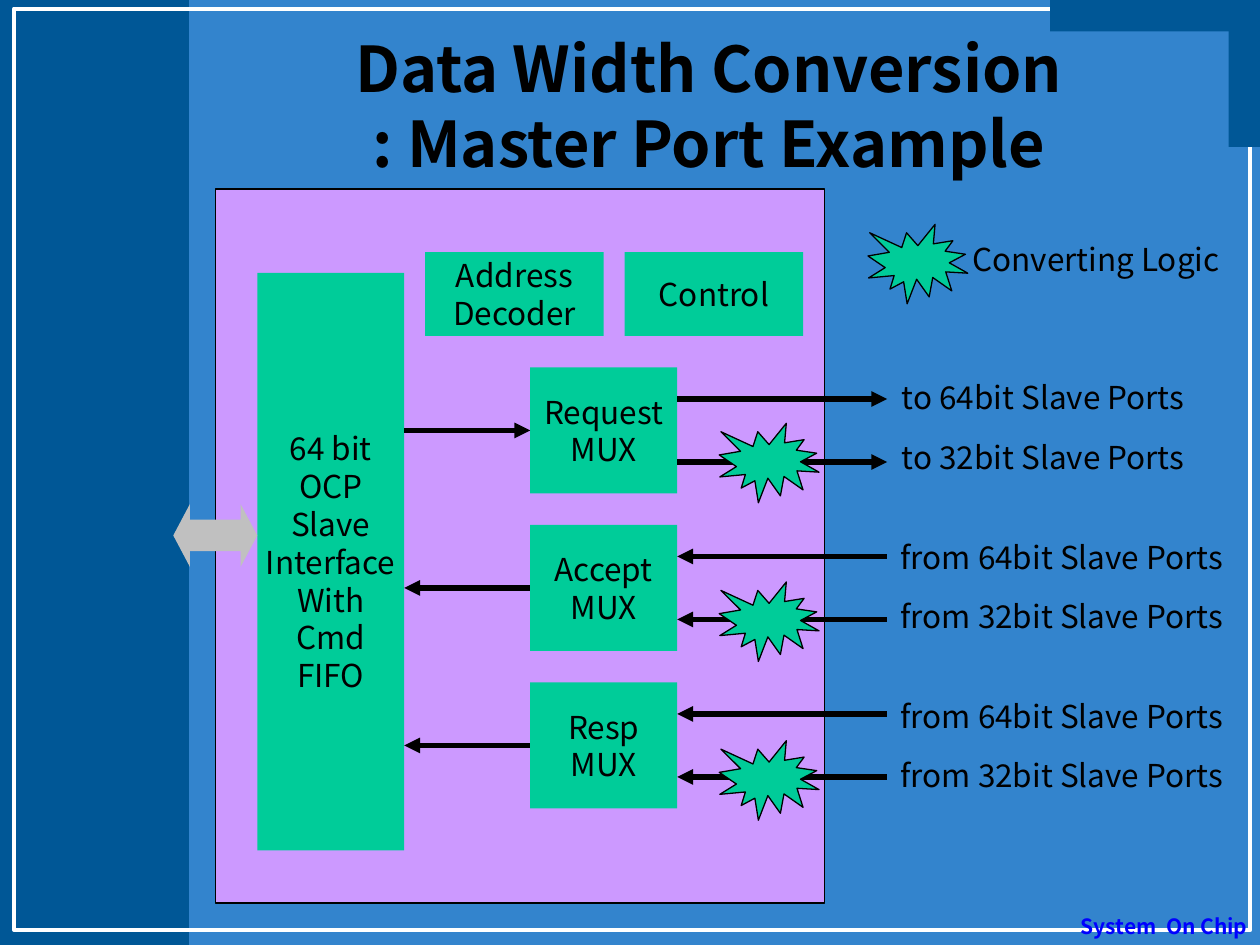
from lxml import etree
from pptx import Presentation
from pptx.dml.color import RGBColor
from pptx.enum.shapes import MSO_CONNECTOR, MSO_SHAPE as SHAPE
from pptx.enum.text import MSO_ANCHOR as ANCHOR, PP_ALIGN as ALIGN
from pptx.oxml.ns import qn
from pptx.util import Pt

FONT = "Noto Sans CJK KR"
COLORS = {
    "background": "3384CD", "band": "005796", "frame": "FFFFFF",
    "panel": "CC99FF", "block": "00CC99", "bus": "C0C0C0",
    "ink": "000000", "footer": "0000FF",
}

TITLE = "Data Width Conversion\v: Master Port Example"  # \v is a line break
FOOTER = "System  On Chip"
LEGEND = "Converting Logic"
BANDS = [(0, 0, 108, 540), (600, 0, 120, 18), (702, 0, 18, 84)]
INTERFACE = "64 bit\nOCP\nSlave\nInterface\nWith\nCmd\nFIFO"
TOP_BLOCKS = ["Address\nDecoder", "Control"]
# name, direction of the signals, tops of the 64 bit and 32 bit labels
MUXES = [
    ("Request\nMUX", "to", (212.4, 247)),
    ("Accept\nMUX", "from", (303.8, 337.7)),
    ("Resp\nMUX", "from", (394.6, 428.4)),
]
LABEL_BOX = {"to": (508.3, 176.4), "from": (507.6, 200.9)}  # left, width

INTERFACE_LEFT, INTERFACE_WIDTH = 147, 84
MUX_LEFT, MUX_TOP, MUX_WIDTH, MUX_HEIGHT, MUX_PITCH = 303, 210, 84, 72, 90
PORT_X = 507
SEAL_LEFT, SEAL_TOP, SEAL_PITCH = 411, 241.9, 90.7
LABEL_HEIGHT = 28.8

prs = Presentation()
prs.slide_width, prs.slide_height = Pt(720), Pt(540)
s = prs.slides.add_slide(prs.slide_layouts[6])


def rgb(name):
    return RGBColor.from_string(COLORS[name])


s.background.fill.solid()
s.background.fill.fore_color.rgb = rgb("background")


def write(sp, text, size=18, color="ink", bold=False, align=ALIGN.LEFT,
          anchor=ANCHOR.TOP, wrap=False):
    tf = sp.text_frame
    tf.text = text
    tf.word_wrap = wrap
    tf.vertical_anchor = anchor
    for p in tf.paragraphs:
        p.alignment = align
        for r in p.runs:
            r.font.name, r.font.size, r.font.bold = FONT, Pt(size), bold
            r.font.color.rgb = rgb(color)


def add_text(box, text, **fmt):
    write(s.shapes.add_textbox(*map(Pt, box)), text, **fmt)


def add_shape(box, kind=SHAPE.RECTANGLE, fill=None, line=None, width=0.75):
    sp = s.shapes.add_shape(kind, *map(Pt, box))
    sp.shadow.inherit = False
    if fill:
        sp.fill.solid()
        sp.fill.fore_color.rgb = rgb(fill)
    else:
        sp.fill.background()
    if line:
        sp.line.color.rgb = rgb(line)
        sp.line.width = Pt(width)
    else:
        sp.line.fill.background()
    return sp


def add_block(box, text):
    write(add_shape(box, fill="block"), text,
          align=ALIGN.CENTER, anchor=ANCHOR.MIDDLE)


def add_seal(left, top):
    """Starburst that marks converting logic."""
    add_shape((left, top, 57, 45.4), SHAPE.EXPLOSION1, "block", "ink")


def add_signal(x1, x2, y, direction):
    """Horizontal arrow that points right for "to" and left for "from"."""
    c = s.shapes.add_connector(MSO_CONNECTOR.STRAIGHT, Pt(x1), Pt(y), Pt(x2), Pt(y))
    c.line.color.rgb = rgb("ink")
    c.line.width = Pt(3)
    end = "a:tailEnd" if direction == "to" else "a:headEnd"
    etree.SubElement(c.line._get_or_add_ln(), qn(end), type="triangle")
    etree.SubElement(c._element.spPr, qn("a:effectLst"))


# Background bands, frame, footer and title
add_shape(BANDS[0], fill="band")
add_shape((8, 5, 706.5, 526.5), line="frame", width=2.25)
for band in BANDS[1:]:
    add_shape(band, fill="band")
add_text((609, 518.4, 111, 36), FOOTER, size=12, color="footer", bold=True,
         align=ALIGN.RIGHT, wrap=True)
add_text((108, 24, 594, 72), TITLE, size=36, bold=True,
         align=ALIGN.CENTER, anchor=ANCHOR.MIDDLE, wrap=True)

# Master port with its fixed blocks
add_shape((123, 108, 348, 408), fill="panel", line="ink")
add_block((INTERFACE_LEFT, 156, INTERFACE_WIDTH, 330), INTERFACE)
for i, name in enumerate(TOP_BLOCKS):
    add_block((243 + 114 * i, 144, 102, 48), name)
bus = add_shape((99, 288, 48, 36), SHAPE.LEFT_RIGHT_ARROW, "bus")
bus.adjustments[0], bus.adjustments[1] = 0.5, 0.265

# Multiplexers with their signals
for i, (name, direction, label_tops) in enumerate(MUXES):
    top = MUX_TOP + MUX_PITCH * i
    add_block((MUX_LEFT, top, MUX_WIDTH, MUX_HEIGHT), name)
    add_signal(INTERFACE_LEFT + INTERFACE_WIDTH, MUX_LEFT,
               top + MUX_HEIGHT / 2, direction)
    left, width = LABEL_BOX[direction]
    for bits, offset, label_top in zip((64, 32), (18, 54), label_tops):
        add_signal(MUX_LEFT + MUX_WIDTH, PORT_X, top + offset, direction)
        add_text((left, label_top, width, LABEL_HEIGHT),
                 f"{direction} {bits}bit Slave Ports")
    add_seal(SEAL_LEFT, SEAL_TOP + SEAL_PITCH * i)

# Legend
add_seal(496, 128.2)
add_text((548.6, 133.9, 157, LABEL_HEIGHT), LEGEND)

prs.save("out.pptx")
